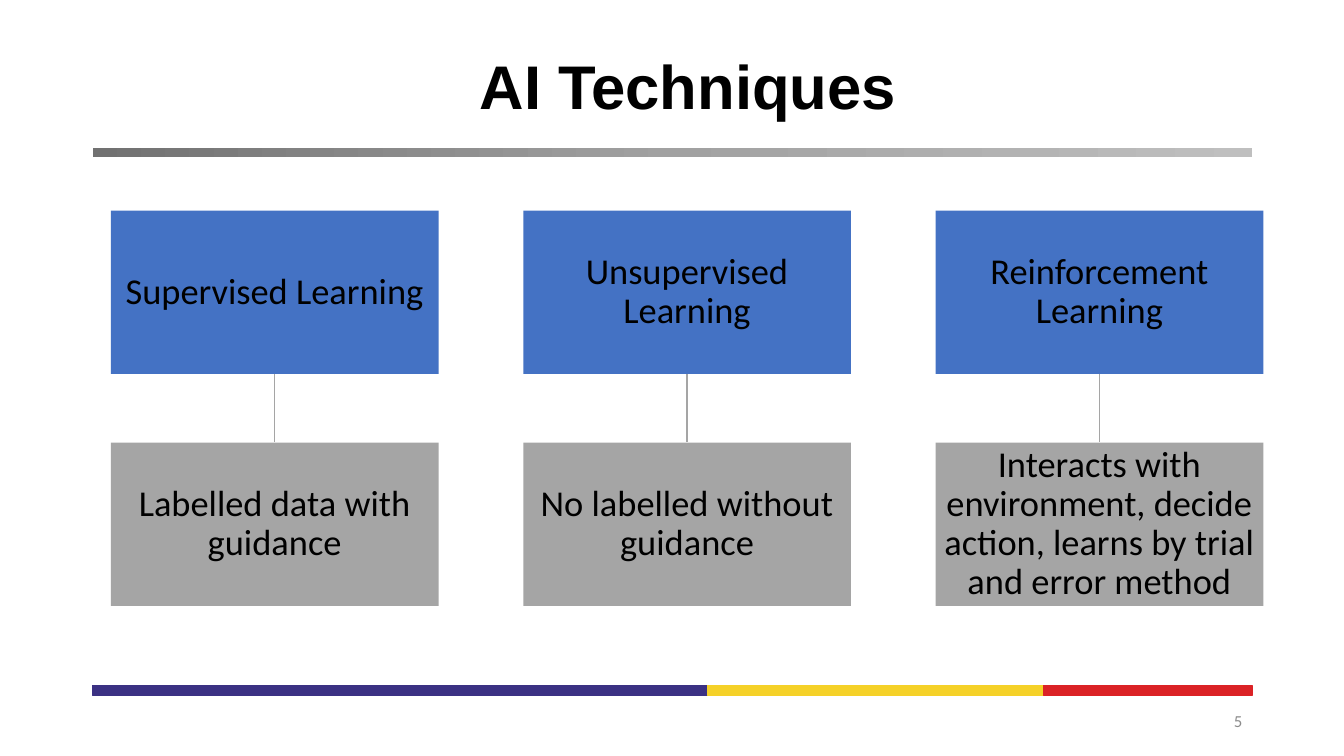
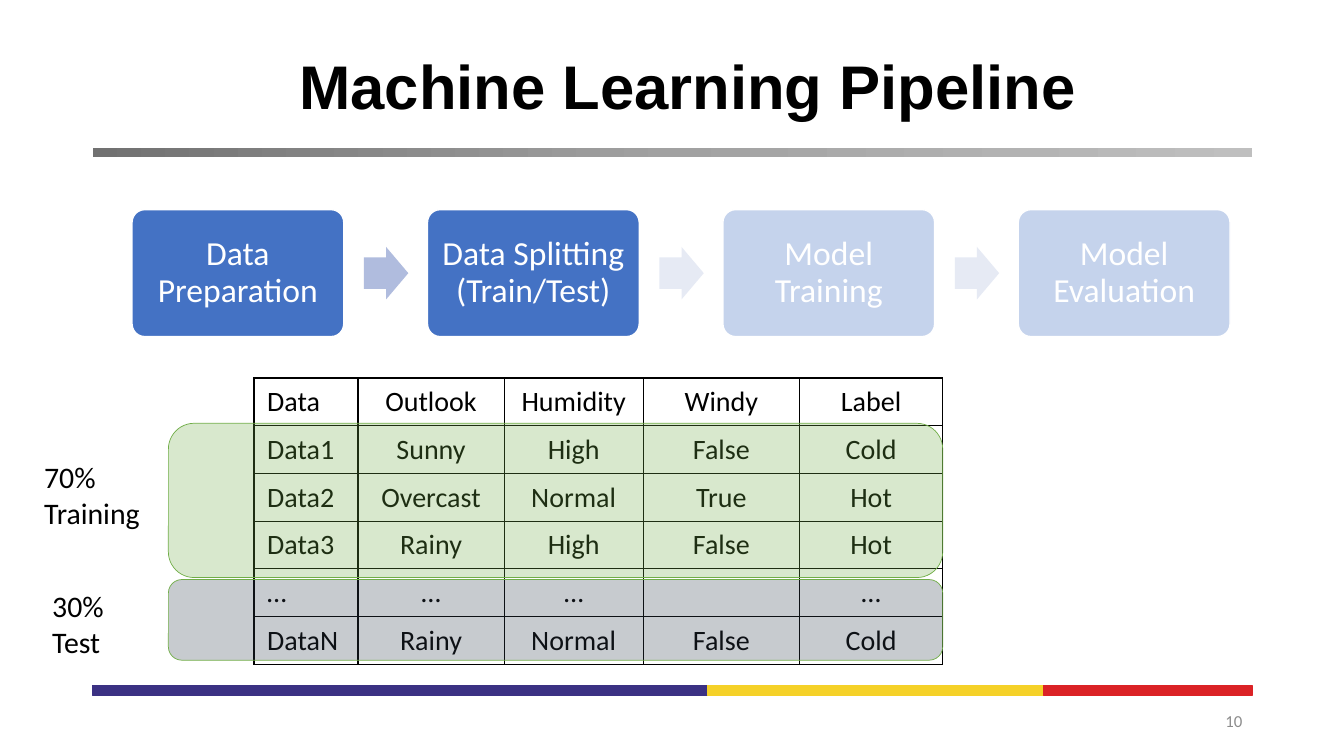
"""Build two slides on AI techniques and the machine learning pipeline."""
import copy
import pptx
import pptx.dml.color
import pptx.enum.shapes
import pptx.enum.text
import pptx.oxml
import pptx.oxml.ns
import pptx.util

Inches, Pt = pptx.util.Inches, pptx.util.Pt
RGB = pptx.dml.color.RGBColor.from_string
SHAPE = pptx.enum.shapes.MSO_SHAPE
ALIGN = pptx.enum.text.PP_ALIGN
MIDDLE = pptx.enum.text.MSO_ANCHOR.MIDDLE
qn = pptx.oxml.ns.qn


class Theme:
    black, white = "000000", "FFFFFF"
    blue, grey, arrow = "4472C4", "A5A5A5", "B0BCDE"
    green, slate, number = "70AD47", "333F50", "8C8C8C"
    rule = ["717171", "A1A1A1", "BFBFBF"]
    purple, yellow, red = "3B3183", "F5D128", "DB2226"
    title_font, body_font = "Arial", "Calibri"
    title_size, technique_size, step_size = 44, 26, 24
    label_size, table_size, number_size = 21.3, 20, 12


def add_box(s, preset, rect, fill, line=None, width=1, opacity=None):
    shape = s.shapes.add_shape(preset, *map(Inches, rect))
    shape.shadow.inherit = False
    shape.fill.solid()
    shape.fill.fore_color.rgb = RGB(fill)
    if opacity:
        colour = shape.element.spPr.find(qn("a:solidFill"))[0]
        alpha = colour.makeelement(qn("a:alpha"), {"val": str(opacity * 1000)})
        colour.append(alpha)
    if line:
        shape.line.color.rgb = RGB(line)
        shape.line.width = Pt(width)
    else:
        shape.line.fill.background()
    return shape


def write(tf, text, size, colour=Theme.black, align=ALIGN.CENTER, spacing=1.0,
          font=Theme.body_font, bold=False):
    tf.text = text
    for p in tf.paragraphs:
        p.alignment = align
        p.line_spacing = spacing
        for r in p.runs:
            r.font.name = font
            r.font.size = Pt(size)
            r.font.bold = bold
            r.font.color.rgb = RGB(colour)


prs = pptx.Presentation()
prs.slide_width, prs.slide_height = Inches(13.33), Inches(7.5)
layout = prs.slide_layouts[5]

slides = []
for title, number in [("AI Techniques", "5"), ("Machine Learning Pipeline", "10")]:
    s = prs.slides.add_slide(layout)
    slides.append(s)
    heading = s.shapes.title
    heading.left, heading.top = Inches(0.92), Inches(0.32)
    heading.width, heading.height = Inches(11.81), Inches(1.13)
    heading.text_frame.vertical_anchor = MIDDLE
    write(heading.text_frame, title, Theme.title_size, spacing=0.9,
          font=Theme.title_font, bold=True)
    footer = s.shapes.add_textbox(Inches(9.42), Inches(6.95), Inches(3), Inches(0.4))
    footer.text_frame.word_wrap = True
    footer.text_frame.vertical_anchor = MIDDLE
    write(footer.text_frame, number, Theme.number_size, Theme.number, ALIGN.RIGHT)

techniques, pipeline = slides

rule = add_box(techniques, SHAPE.RECTANGLE, (0.92, 1.47, 11.5, 0.09), Theme.grey)
rule.fill.gradient()
rule.fill.gradient_angle = 0
stop_list = rule.element.spPr.find(".//" + qn("a:gsLst"))
stop_list.insert(1, copy.deepcopy(stop_list[0]))
for stop, colour, position in zip(rule.fill.gradient_stops, Theme.rule, (0, 0.5, 1)):
    stop.color.rgb = RGB(colour)
    stop.position = position

bands = [rule]
left = 0.92
for width, colour in [(6.1, Theme.purple), (3.33, Theme.yellow), (2.07, Theme.red)]:
    bands.append(add_box(techniques, SHAPE.RECTANGLE, (left, 6.8, width, 0.1),
                         colour, colour))
    left += width
for i, band in enumerate(bands):
    band.element.nvSpPr.cNvPr.set("id", str(20 + i))
    layout.shapes.element.append(band.element)

approaches = [
    ("Supervised Learning", "Labelled data with guidance"),
    ("Unsupervised Learning", "No labelled without guidance"),
    ("Reinforcement Learning",
     "Interacts with environment, decide action, learns by trial and error method"),
]
for i, texts in enumerate(approaches):
    pair = []
    for text, top, colour in zip(texts, (2.09, 4.39), (Theme.blue, Theme.grey)):
        box = add_box(techniques, SHAPE.RECTANGLE, (1.1 + 4.09 * i, top, 3.25, 1.62), colour)
        tf = box.text_frame
        tf.margin_left = tf.margin_right = tf.margin_top = tf.margin_bottom = Inches(0.02)
        write(tf, text, Theme.technique_size, spacing=0.9)
        pair.append(box)
    link = techniques.shapes.add_connector(
        pptx.enum.shapes.MSO_CONNECTOR.STRAIGHT, 0, 0, 0, 0)
    link.begin_connect(pair[0], 2)
    link.end_connect(pair[1], 0)
    link.line.color.rgb = RGB(Theme.grey)
    link.line.width = Pt(1)
    properties = link.element.spPr
    properties.append(properties.makeelement(qn("a:effectLst"), {}))

steps = ["Data Preparation", "Data Splitting (Train/Test)", "Model Training",
         "Model Evaluation"]
for i, step in enumerate(steps):
    left = 1.31 + 2.93 * i
    box = add_box(pipeline, SHAPE.ROUNDED_RECTANGLE, (left, 2.08, 2.1, 1.26),
                  Theme.blue, Theme.white)
    box.adjustments[0] = 0.1
    write(box.text_frame, step, Theme.step_size, Theme.white, spacing=0.9)
    if i < len(steps) - 1:
        arrow = add_box(pipeline, SHAPE.RIGHT_ARROW, (left + 2.3, 2.45, 0.44, 0.52),
                        Theme.arrow)
        arrow.adjustments[0], arrow.adjustments[1] = 0.6, 0.5

rows = [
    ["Data", "Outlook", "Humidity", "Windy", "Label"],
    ["Data1", "Sunny", "High", "False", "Cold"],
    ["Data2", "Overcast", "Normal", "True", "Hot"],
    ["Data3", "Rainy", "High", "False", "Hot"],
    ["…", "…", "…", "", "…"],
    ["DataN", "Rainy", "Normal", "False", "Cold"],
]
column_widths = [1.03, 1.45, 1.38, 1.55, 1.42]
table = pipeline.shapes.add_table(
    len(rows), len(column_widths), Inches(2.52), Inches(3.75),
    Inches(sum(column_widths)), Inches(0.47 * len(rows))).table
table.first_row = table.horz_banding = False
for column, width in zip(table.columns, column_widths):
    column.width = Inches(width)
for i, row in enumerate(rows):
    table.rows[i].height = Inches(0.47)
    for j, text in enumerate(row):
        cell = table.cell(i, j)
        cell.fill.background()
        cell.margin_left = cell.margin_right = Inches(0.13)
        cell.margin_top = cell.margin_bottom = Inches(0.07)
        write(cell.text_frame, text, Theme.table_size,
              align=ALIGN.CENTER if j else ALIGN.LEFT)
        tc_pr = cell._tc.get_or_add_tcPr()
        for k, side in enumerate(("lnL", "lnR", "lnT", "lnB")):
            tc_pr.insert(k, pptx.oxml.parse_xml(
                f'<a:{side} {pptx.oxml.ns.nsdecls("a")} w="12700"><a:solidFill>'
                f'<a:srgbClr val="{Theme.black}"/></a:solidFill></a:{side}>'))

add_box(pipeline, SHAPE.RECTANGLE, (6.52, 1.91, 6, 1.71), Theme.white, opacity=69)

splits = [
    ("70%\nTraining", 0.34, 4.5, 4.2, 1.53, Theme.green),
    ("30%\nTest", 0.42, 5.78, 5.75, 0.8, Theme.slate),
]
for text, left, text_top, top, height, colour in splits:
    add_box(pipeline, SHAPE.ROUNDED_RECTANGLE, (1.67, top, 7.68, height), colour,
            Theme.green, 0.5, 27)
    label = pipeline.shapes.add_textbox(
        Inches(left), Inches(text_top), Inches(1.76), Inches(0.82))
    label.text_frame.word_wrap = True
    write(label.text_frame, text, Theme.label_size, align=ALIGN.LEFT)

prs.save("out.pptx")
